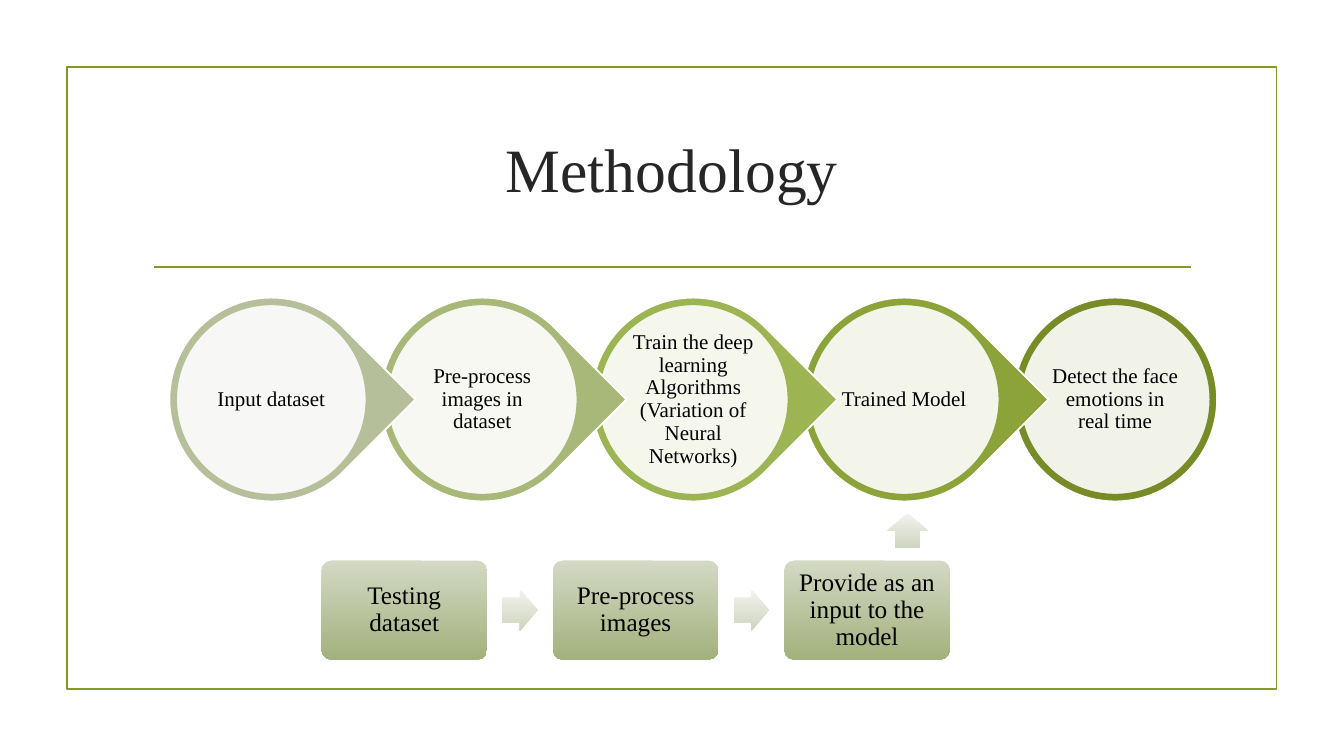
from lxml import etree
from pptx import Presentation
from pptx.dml.color import RGBColor
from pptx.enum import shapes, text
from pptx.oxml import ns
from pptx.util import Pt

TITLE = "Methodology"
STAGES = [
    ("Input dataset", RGBColor(0xB5, 0xBF, 0x9A)),
    ("Pre-process images in dataset", RGBColor(0xA7, 0xB8, 0x78)),
    ("Train the deep learning Algorithms (Variation of Neural Networks)",
     RGBColor(0x9C, 0xB4, 0x51)),
    ("Trained Model", RGBColor(0x8B, 0xA3, 0x39)),
    ("Detect the face emotions in real time", RGBColor(0x77, 0x8B, 0x26)),
]
TEST_STEPS = ["Testing dataset", "Pre-process images", "Provide as an input to the model"]

FONT = "Times New Roman"
WHITE = RGBColor(0xFF, 0xFF, 0xFF)
BLACK = RGBColor(0, 0, 0)
TITLE_GREY = RGBColor(0x26, 0x26, 0x26)
ACCENT = RGBColor(0x83, 0x99, 0x2A)
BOX_COLOURS = (RGBColor(0xD3, 0xD9, 0xC4), RGBColor(0xA3, 0xB1, 0x7D))
ARROW_COLOURS = (RGBColor(0xF1, 0xF3, 0xED), RGBColor(0xCE, 0xD5, 0xBF))
LINE_WIDTH = 1.25

STAGE_LEFT, STAGE_TOP, STAGE_SIZE, STAGE_PITCH = 121, 212.6, 145.6, 150.7
DISC_SIZE = 136
BOX_LEFT, BOX_TOP, BOX_WIDTH, BOX_HEIGHT, BOX_PITCH = 229.7, 400.4, 118.2, 70.8, 165.3
ARROW_LENGTH, ARROW_BREADTH = 25.1, 29.3
UP_ARROW_LEFT, UP_ARROW_TOP = 633.7, 366.6

Preset = shapes.MSO_SHAPE


def add_shape(slide, preset, left, top, width, height, line=None, adjustments=()):
    shape = slide.shapes.add_shape(preset, Pt(left), Pt(top), Pt(width), Pt(height))
    shape.shadow.inherit = False
    for index, value in enumerate(adjustments):
        shape.adjustments[index] = value
    if line is None:
        shape.line.fill.background()
    else:
        shape.line.color.rgb = line
        shape.line.width = Pt(LINE_WIDTH)
    return shape


def fill_solid(shape, colour, opacity=100):
    shape.fill.solid()
    shape.fill.fore_color.rgb = colour
    if opacity < 100:
        colour_node = shape.fill._xPr.find(ns.qn("a:solidFill"))[0]
        etree.SubElement(colour_node, ns.qn("a:alpha")).set("val", str(opacity * 1000))


def fill_gradient(shape, colours):
    shape.fill.gradient()
    shape.fill.gradient_angle = 270
    for stop, colour in zip(shape.fill.gradient_stops, colours):
        stop.color.rgb = colour


def write(shape, words, size, colour=BLACK, inset=0, spacing=0.9):
    frame = shape.text_frame
    frame.text = words
    frame.word_wrap = True
    frame.vertical_anchor = text.MSO_ANCHOR.MIDDLE
    frame.margin_left = frame.margin_right = Pt(inset)
    frame.margin_top = frame.margin_bottom = Pt(inset)
    paragraph = frame.paragraphs[0]
    paragraph.alignment = text.PP_ALIGN.CENTER
    paragraph.line_spacing = spacing
    font = paragraph.runs[0].font
    font.name, font.size, font.color.rgb = FONT, Pt(size), colour


def add_frame(slide):
    border = add_shape(slide, Preset.RECTANGLE, 47.8, 48, 864, 444, ACCENT)
    border.fill.background()
    rule = slide.shapes.add_connector(
        shapes.MSO_CONNECTOR.STRAIGHT, Pt(110), Pt(190.8), Pt(850.4), Pt(190.8))
    rule.line.color.rgb = ACCENT
    rule.line.width = Pt(LINE_WIDTH)
    etree.SubElement(rule._element.spPr, ns.qn("a:effectLst"))
    title = slide.shapes.add_textbox(Pt(102), Pt(68.4), Pt(756), Pt(103))
    write(title, TITLE, 44, TITLE_GREY, spacing=1)


def add_stages(slide):
    last = len(STAGES) - 1
    margin = (STAGE_SIZE - DISC_SIZE) / 2
    for index, (words, colour) in reversed(list(enumerate(STAGES))):
        left = STAGE_LEFT + index * STAGE_PITCH
        preset = Preset.OVAL if index == last else Preset.TEAR
        ring = add_shape(slide, preset, left, STAGE_TOP, STAGE_SIZE, STAGE_SIZE, WHITE)
        fill_solid(ring, colour)
        if index < last:
            ring.adjustments[0] = 1
            ring.rotation = 45
        disc = add_shape(slide, Preset.OVAL, left + margin, STAGE_TOP + margin,
                         DISC_SIZE, DISC_SIZE, colour)
        fill_solid(disc, WHITE, 90)
        write(disc, words, 15, inset=1)


def add_test_steps(slide):
    gap = BOX_PITCH - BOX_WIDTH
    for index, words in enumerate(TEST_STEPS):
        left = BOX_LEFT + index * BOX_PITCH
        box = add_shape(slide, Preset.ROUNDED_RECTANGLE, left, BOX_TOP,
                        BOX_WIDTH, BOX_HEIGHT, adjustments=[0.1])
        fill_gradient(box, BOX_COLOURS)
        write(box, words, 18, inset=5)
        if index < len(TEST_STEPS) - 1:
            arrow = add_shape(slide, Preset.RIGHT_ARROW,
                              left + BOX_WIDTH + (gap - ARROW_LENGTH) / 2,
                              BOX_TOP + (BOX_HEIGHT - ARROW_BREADTH) / 2,
                              ARROW_LENGTH, ARROW_BREADTH, adjustments=[0.6, 0.5])
            fill_gradient(arrow, ARROW_COLOURS)
    up_arrow = add_shape(slide, Preset.UP_ARROW, UP_ARROW_LEFT, UP_ARROW_TOP,
                         ARROW_BREADTH, ARROW_LENGTH, adjustments=[0.6, 0.5])
    fill_gradient(up_arrow, ARROW_COLOURS)


def main():
    presentation = Presentation()
    presentation.slide_width, presentation.slide_height = Pt(960), Pt(540)
    slide = presentation.slides.add_slide(presentation.slide_layouts[6])
    add_frame(slide)
    add_stages(slide)
    add_test_steps(slide)
    presentation.save("out.pptx")


if __name__ == "__main__":
    main()
